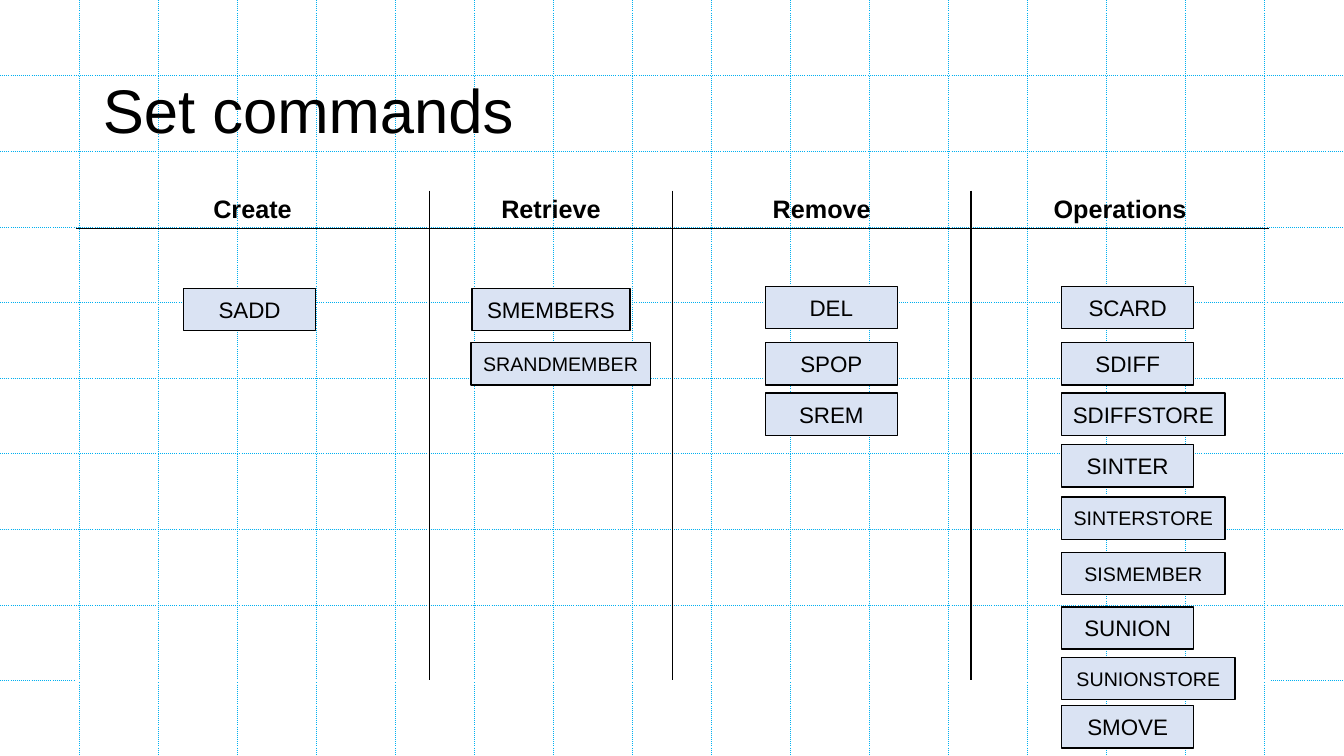
from dataclasses import dataclass

from lxml.etree import SubElement
from pptx import Presentation
from pptx.dml.color import RGBColor
from pptx.enum.shapes import MSO_SHAPE
from pptx.enum.text import MSO_ANCHOR, PP_ALIGN
from pptx.oxml.ns import qn
from pptx.shapes.graphfrm import GraphicFrame
from pptx.slide import Slide
from pptx.util import Inches, Pt


@dataclass(frozen=True)
class Theme:
    font: str = "Arial"
    ink: str = "000000"
    paper: str = "FFFFFF"
    grid: str = "00B0F0"
    box: str = "DAE3F3"
    title_size: int = 44
    heading_size: int = 18
    command_size: int = 16
    long_command_size: int = 14


@dataclass(frozen=True)
class Border:
    color: str
    width: float = 1
    dash: str = "solid"


@dataclass(frozen=True)
class Command:
    name: str
    left: float
    top: float
    width: float = 1.31
    size: int = 16


THEME = Theme()
SLIDE_WIDTH, SLIDE_HEIGHT = 13.33, 7.5
NO_STYLE = "{2D5ABB26-0587-4C30-8999-92F81FD0307C}"
GRID_COLUMNS, GRID_ROWS = 17, 10
HEADINGS = {"Create": 3.51, "Retrieve": 2.41, "Remove": 2.96, "Operations": 2.96}
ROW_HEIGHTS = (0.38, 4.48)
BOX_HEIGHT = 0.42
REMOVE_LEFT, OPERATIONS_LEFT = 7.59, 10.53
WIDE, WIDER = 1.62, 1.72
LONG = THEME.long_command_size

COMMANDS = [
    Command("SADD", 1.82, 2.86),
    Command("SMEMBERS", 4.68, 2.86, 1.57),
    Command("SRANDMEMBER", 4.67, 3.4, 1.78, LONG),
    Command("DEL", REMOVE_LEFT, 2.84),
    Command("SPOP", REMOVE_LEFT, 3.4),
    Command("SREM", REMOVE_LEFT, 3.9),
    Command("SCARD", OPERATIONS_LEFT, 2.84),
    Command("SDIFF", OPERATIONS_LEFT, 3.4),
    Command("SDIFFSTORE", OPERATIONS_LEFT, 3.9, WIDE),
    Command("SINTER", OPERATIONS_LEFT, 4.41),
    Command("SINTERSTORE", OPERATIONS_LEFT, 4.93, WIDE, LONG),
    Command("SISMEMBER", OPERATIONS_LEFT, 5.48, WIDE, LONG),
    Command("SUNION", OPERATIONS_LEFT, 6.02),
    Command("SUNIONSTORE", OPERATIONS_LEFT, 6.52, WIDER, LONG),
    Command("SMOVE", OPERATIONS_LEFT, 7),
]


def style_font(para, size: int, bold: bool = False) -> None:
    para.font.name = THEME.font
    para.font.size = Pt(size)
    para.font.bold = bold
    para.font.color.rgb = RGBColor.from_string(THEME.ink)


def set_borders(cell_element, borders: dict[str, Border | None]) -> None:
    """Add cell edges, given in the order L, R, T, B; None leaves an edge open."""
    properties = cell_element.get_or_add_tcPr()
    for side, border in borders.items():
        if border is None:
            continue
        line = SubElement(properties, qn(f"a:ln{side}"), w=str(Pt(border.width)))
        fill = SubElement(line, qn("a:solidFill"))
        SubElement(fill, qn("a:srgbClr"), val=border.color)
        SubElement(line, qn("a:prstDash"), val=border.dash)


def add_plain_table(page: Slide, left: float, top: float, widths: list[float],
                    heights: list[float], inner: Border, outer: Border | None) -> GraphicFrame:
    """Add an unfilled table whose inner and outer lines differ."""
    frame = page.shapes.add_table(len(heights), len(widths), Inches(left), Inches(top),
                                  Inches(sum(widths)), Inches(sum(heights)))
    table = frame.table
    table.first_row = table.horz_banding = False
    next(frame.element.iter(qn("a:tableStyleId"))).text = NO_STYLE
    for column, width in zip(table.columns, widths):
        column.width = Inches(width)
    for row, height in zip(table.rows, heights):
        row.height = Inches(height)

    last_row, last_column = len(heights) - 1, len(widths) - 1
    for index, cell_element in enumerate(frame.element.iter(qn("a:tc"))):
        row, column = divmod(index, len(widths))
        side_edge = outer if row else None
        set_borders(cell_element, {
            "L": inner if column else side_edge,
            "R": inner if column < last_column else side_edge,
            "T": inner if row else None,
            "B": inner if row < last_row else outer,
        })
    for cell in table.iter_cells():
        cell.fill.background()
    return frame


def add_background_grid(page: Slide) -> None:
    add_plain_table(page, 0, 0, [SLIDE_WIDTH / GRID_COLUMNS] * GRID_COLUMNS,
                    [SLIDE_HEIGHT / GRID_ROWS] * GRID_ROWS,
                    Border(THEME.grid, 0.25, "sysDot"), None)


def add_command_table(page: Slide) -> None:
    frame = add_plain_table(page, 0.75, 1.89, list(HEADINGS.values()), list(ROW_HEIGHTS),
                            Border(THEME.ink), Border(THEME.paper))
    for column, heading in enumerate(HEADINGS):
        para = frame.table.cell(0, column).text_frame.paragraphs[0]
        para.text = heading
        para.alignment = PP_ALIGN.CENTER
        style_font(para, THEME.heading_size, bold=True)


def place_title(page: Slide, text: str) -> None:
    """Fill the title placeholder and bring it in front of the tables."""
    title = page.shapes.title
    title.left, title.top = Inches(0.92), Inches(0.4)
    title.width, title.height = Inches(11.5), Inches(1.45)
    title.text_frame.text = text
    title.text_frame.vertical_anchor = MSO_ANCHOR.MIDDLE
    para = title.text_frame.paragraphs[0]
    para.alignment = PP_ALIGN.LEFT
    para.line_spacing = 0.9
    style_font(para, THEME.title_size)
    title.element.getparent().append(title.element)


def add_command_box(page: Slide, command: Command) -> None:
    box = page.shapes.add_shape(MSO_SHAPE.RECTANGLE, Inches(command.left), Inches(command.top),
                                Inches(command.width), Inches(BOX_HEIGHT))
    box.shadow.inherit = False
    box.fill.solid()
    box.fill.fore_color.rgb = RGBColor.from_string(THEME.box)
    box.line.color.rgb = RGBColor.from_string(THEME.ink)
    box.line.width = Pt(1)
    box.text_frame.text = command.name
    box.text_frame.vertical_anchor = MSO_ANCHOR.MIDDLE
    para = box.text_frame.paragraphs[0]
    para.alignment = PP_ALIGN.CENTER
    style_font(para, command.size)


def main() -> None:
    deck = Presentation()
    deck.slide_width, deck.slide_height = Inches(SLIDE_WIDTH), Inches(SLIDE_HEIGHT)
    page = deck.slides.add_slide(deck.slide_layouts.get_by_name("Title Only"))
    add_background_grid(page)
    add_command_table(page)
    place_title(page, "Set commands")
    for command in COMMANDS:
        add_command_box(page, command)
    deck.save("out.pptx")


if __name__ == "__main__":
    main()
